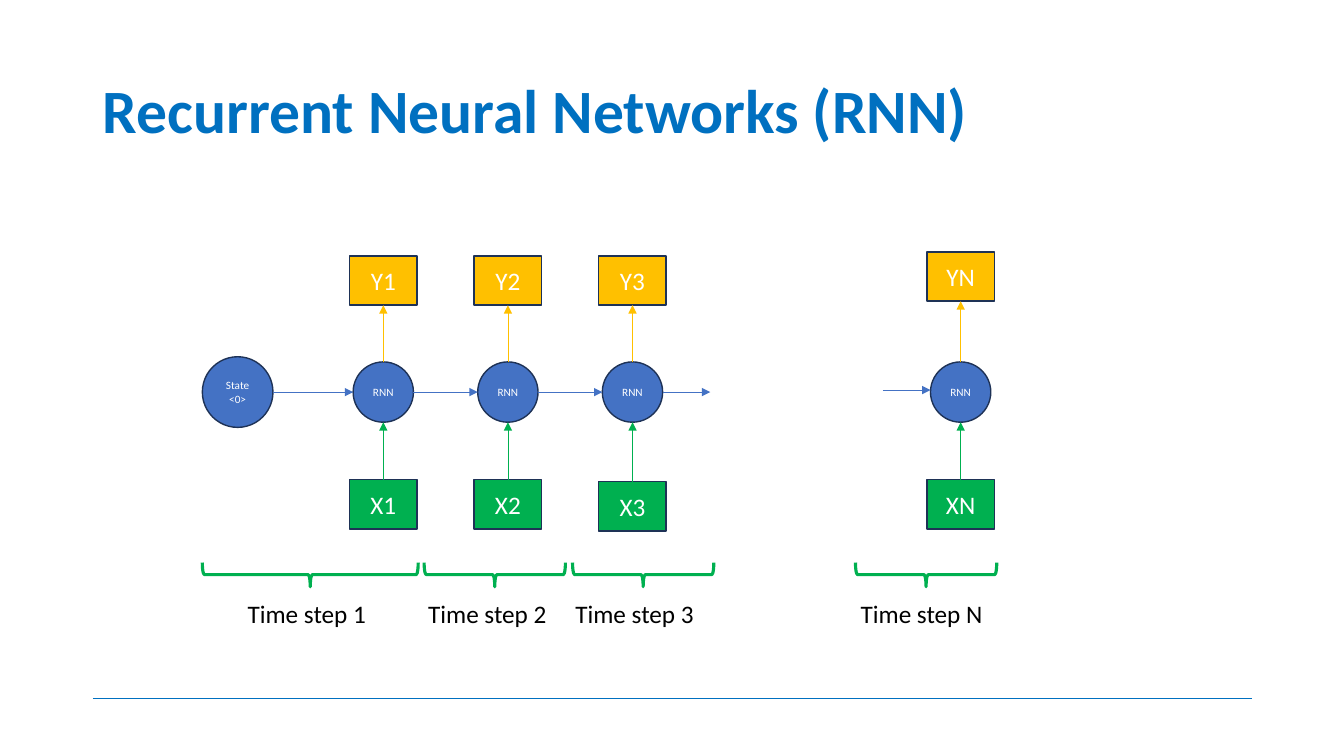
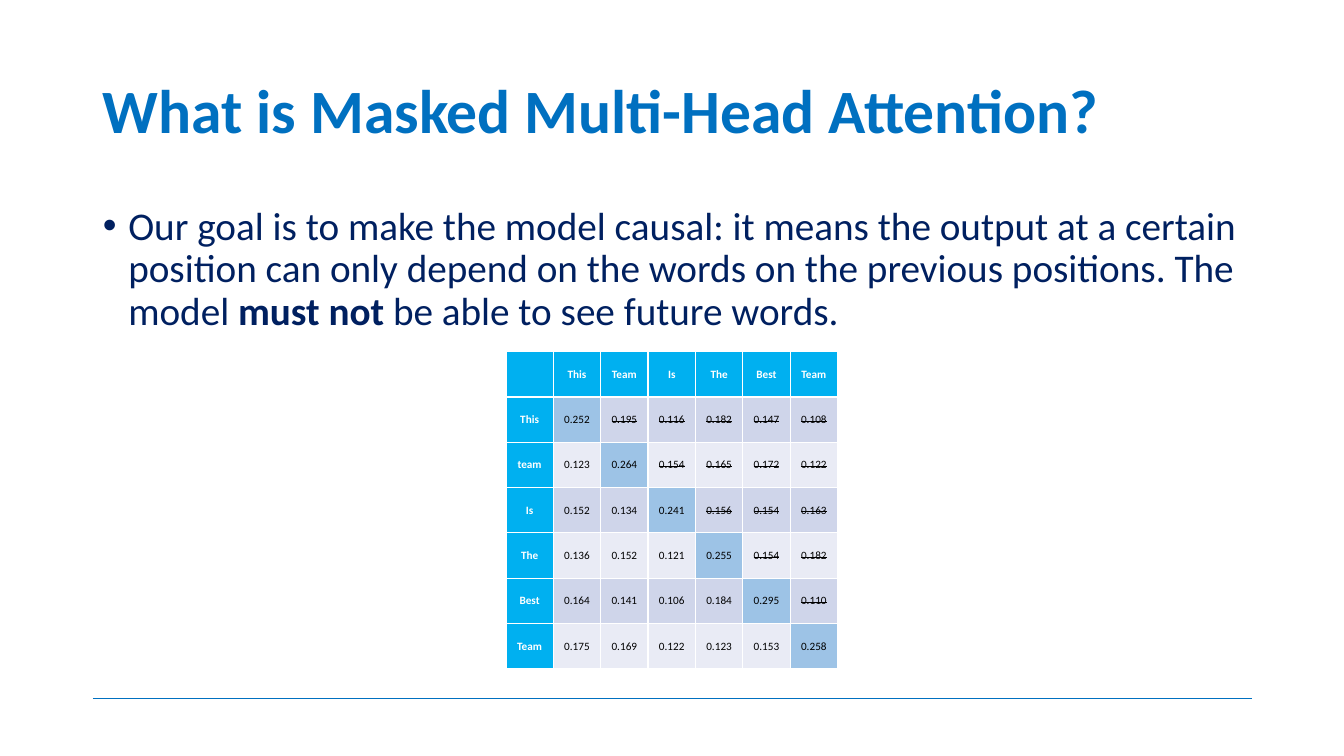
from collections import namedtuple

from lxml.etree import SubElement
from pptx import Presentation
from pptx.dml.color import RGBColor
from pptx.enum.shapes import MSO_CONNECTOR, MSO_SHAPE as Shape
from pptx.enum.text import MSO_ANCHOR as Anchor, MSO_AUTO_SIZE as AutoSize, PP_ALIGN as Align
from pptx.oxml.ns import qn
from pptx.util import Cm, Pt

# Shared style
FONT = "Calibri"
TITLE_BLUE = RGBColor(0x00, 0x70, 0xC0)
NAVY = RGBColor(0x00, 0x20, 0x60)
WHITE = RGBColor(0xFF, 0xFF, 0xFF)
BLACK = RGBColor(0x00, 0x00, 0x00)
CELL_BLUE = RGBColor(0x44, 0x72, 0xC4)
OUTLINE = RGBColor(0x1E, 0x32, 0x56)
GREEN = RGBColor(0x00, 0xB0, 0x50)
AMBER = RGBColor(0xFF, 0xC0, 0x00)
HEADER_BLUE = RGBColor(0x00, 0xB0, 0xF0)
DIAGONAL_BLUE = RGBColor(0x9D, 0xC3, 0xE6)
BANDS = (RGBColor(0xCF, 0xD5, 0xEA), RGBColor(0xE9, 0xEB, 0xF5))

MARGIN, CONTENT_WIDTH = 2.34, 29.21
TITLE_ONLY, TITLE_AND_BODY = 5, 1

# Network diagram, in centimetres
STATE_X, STATE_SIZE = 5.99, 1.78
RNN_Y, RNN_SIZE = 9.88, 1.52
BOX_WIDTH, BOX_HEIGHT = 1.7, 1.24
BRACE_Y, BRACE_DEPTH = 14.48, 0.61
LABEL_TOP = 14.94
LOOSE_ARROW = 1.2

Step = namedtuple("Step", "name x input_top output_top brace_x brace_length label_left")
STEPS = (
    Step("1", 9.66, 12.09, 6.45, 7.82, 5.44, 5.99),
    Step("2", 12.8, 12.09, 6.45, 12.47, 3.56, 10.54),
    Step("3", 15.94, 12.14, 6.45, 16.21, 3.56, 14.25),
    Step("N", 24.21, 12.09, 6.35, 23.34, 3.56, 21.44),
)

# Attention table
COLUMN_WORDS = ("This", "Team", "Is", "The", "Best", "Team")
ROW_WORDS = ("This", "team", "Is", "The", "Best", "Team")
WEIGHTS = (
    (0.252, 0.195, 0.116, 0.182, 0.147, 0.108),
    (0.123, 0.264, 0.154, 0.165, 0.172, 0.122),
    (0.152, 0.134, 0.241, 0.156, 0.154, 0.163),
    (0.136, 0.152, 0.121, 0.255, 0.154, 0.182),
    (0.164, 0.141, 0.106, 0.184, 0.295, 0.110),
    (0.175, 0.169, 0.122, 0.123, 0.153, 0.258),
)


def format_runs(para, size, color, bold=False):
    for span in para.runs:
        span.font.name = FONT
        span.font.size = Pt(size)
        span.font.color.rgb = color
        span.font.bold = bold


def place(shape, left, top, width, height):
    shape.left, shape.top = Cm(left), Cm(top)
    shape.width, shape.height = Cm(width), Cm(height)


def add_line(page, start, end, color, arrow=False):
    line = page.shapes.add_connector(
        MSO_CONNECTOR.STRAIGHT, *(Cm(value) for value in (*start, *end)))
    line.line.color.rgb = color
    line.line.width = Pt(0.5)
    if arrow:
        SubElement(line.line._get_or_add_ln(), qn("a:tailEnd"), type="triangle")
    SubElement(line._element.spPr, qn("a:effectLst"))
    return line


def add_page(deck, layout, title):
    """Add a slide with the common title and bottom rule."""
    page = deck.slides.add_slide(deck.slide_layouts[layout])
    add_line(page, (MARGIN, 17.6), (MARGIN + CONTENT_WIDTH, 17.6), TITLE_BLUE)
    heading = page.shapes.title
    place(heading, MARGIN, 1.02, CONTENT_WIDTH, 3.68)
    frame = heading.text_frame
    frame.text = title
    frame.auto_size = AutoSize.NONE
    frame.vertical_anchor = Anchor.MIDDLE
    para = frame.paragraphs[0]
    para.alignment = Align.LEFT
    para.line_spacing = 0.9
    format_runs(para, 44, TITLE_BLUE, bold=True)
    return page


def add_node(page, kind, text, center, size, fill, font_size):
    """Add an outlined, filled shape around its centre."""
    (x, y), (width, height) = center, size
    node = page.shapes.add_shape(
        kind, Cm(x - width / 2), Cm(y - height / 2), Cm(width), Cm(height))
    node.shadow.inherit = False
    node.fill.solid()
    node.fill.fore_color.rgb = fill
    node.line.color.rgb = OUTLINE
    node.line.width = Pt(1)
    node.text_frame.text = text
    node.text_frame.vertical_anchor = Anchor.MIDDLE
    para = node.text_frame.paragraphs[0]
    para.alignment = Align.CENTER
    format_runs(para, font_size, WHITE)
    return node


def add_circle(page, text, x, size):
    return add_node(page, Shape.OVAL, text, (x, RNN_Y), (size, size), CELL_BLUE, 8)


def add_box(page, text, x, top, fill):
    return add_node(page, Shape.RECTANGLE, text, (x, top + BOX_HEIGHT / 2),
                    (BOX_WIDTH, BOX_HEIGHT), fill, 18)


def add_brace(page, x, length):
    brace = page.shapes.add_shape(
        Shape.LEFT_BRACE, Cm(x - BRACE_DEPTH / 2), Cm(BRACE_Y - length / 2),
        Cm(BRACE_DEPTH), Cm(length))
    brace.rotation = 270
    brace.shadow.inherit = False
    brace.fill.background()
    brace.line.color.rgb = GREEN
    brace.line.width = Pt(2.25)


def add_label(page, text, left):
    box = page.shapes.add_textbox(Cm(left), Cm(LABEL_TOP), Cm(3.8), Cm(1.02))
    box.text_frame.word_wrap = True
    box.text_frame.text = text
    format_runs(box.text_frame.paragraphs[0], 18, BLACK)


def add_step(page, step):
    """Add one time step: input, cell, output, brace and label."""
    cell = add_circle(page, "RNN", step.x, RNN_SIZE)
    source = add_box(page, f"X{step.name}", step.x, step.input_top, GREEN)
    target = add_box(page, f"Y{step.name}", step.x, step.output_top, AMBER)
    radius = RNN_SIZE / 2
    feed = add_line(page, (step.x, step.input_top), (step.x, RNN_Y + radius), GREEN, arrow=True)
    feed.begin_connect(source, 0)
    result = add_line(page, (step.x, RNN_Y - radius),
                      (step.x, step.output_top + BOX_HEIGHT), AMBER, arrow=True)
    result.begin_connect(cell, 0)
    result.end_connect(target, 2)
    add_brace(page, step.brace_x, step.brace_length)
    add_label(page, f"Time step {step.name}", step.label_left)


def add_state_arrows(page):
    """Carry the state from left to right, with a break before the last step."""
    radius = RNN_SIZE / 2
    *first_steps, last = STEPS
    start = STATE_X + STATE_SIZE / 2
    for step in first_steps:
        add_line(page, (start, RNN_Y), (step.x - radius, RNN_Y), CELL_BLUE, arrow=True)
        start = step.x + radius
    add_line(page, (start, RNN_Y), (start + LOOSE_ARROW, RNN_Y), CELL_BLUE, arrow=True)
    end, y = last.x - radius, RNN_Y - 0.05
    add_line(page, (end - LOOSE_ARROW, y), (end, y), CELL_BLUE, arrow=True)


def add_bullet(page, parts):
    """Fill the body with one bullet made of (text, bold) parts."""
    body = page.placeholders[1]
    place(body, MARGIN, 5.08, CONTENT_WIDTH, 12.09)
    body.text_frame.auto_size = AutoSize.NONE
    para = body.text_frame.paragraphs[0]
    para.line_spacing = 0.9
    para.space_before = Pt(10)
    for text, _ in parts:
        para.add_run().text = text
    format_runs(para, 28, NAVY)
    for span, (_, bold) in zip(para.runs, parts):
        span.font.bold = bold
    properties = para._p.get_or_add_pPr()
    properties.set("marL", str(Cm(0.64)))
    properties.set("indent", str(-Cm(0.64)))
    SubElement(properties, qn("a:buFont"), typeface="Arial")
    SubElement(properties, qn("a:buChar"), char="•")


def fill_cell(cell, text, fill, color, bold=False, strike=False):
    cell.fill.solid()
    cell.fill.fore_color.rgb = fill
    cell.vertical_anchor = Anchor.MIDDLE
    cell.margin_left = cell.margin_right = 0
    cell.text = text
    para = cell.text_frame.paragraphs[0]
    para.alignment = Align.CENTER
    format_runs(para, 8, color, bold)
    if strike:
        para.runs[0]._r.get_or_add_rPr().set("strike", "sngStrike")


def add_attention_table(page):
    """Add the weights, with those of future words struck out."""
    count = len(WEIGHTS) + 1
    table = page.shapes.add_table(
        count, count, Cm(12.75), Cm(8.86), Cm(8.36), Cm(8)).table
    table.first_col = True
    for column, word in enumerate(("", *COLUMN_WORDS)):
        fill_cell(table.cell(0, column), word, HEADER_BLUE, WHITE, bold=True)
    for row, (word, weights) in enumerate(zip(ROW_WORDS, WEIGHTS), start=1):
        fill_cell(table.cell(row, 0), word, HEADER_BLUE, WHITE, bold=True)
        for column, weight in enumerate(weights, start=1):
            fill = DIAGONAL_BLUE if row == column else BANDS[(row - 1) % 2]
            fill_cell(table.cell(row, column), f"{weight:.3f}", fill, BLACK,
                      strike=column > row)


def build_network_slide(deck):
    page = add_page(deck, TITLE_ONLY, "Recurrent Neural Networks (RNN)")
    add_circle(page, "State <0>", STATE_X, STATE_SIZE)
    for step in STEPS:
        add_step(page, step)
    add_state_arrows(page)


def build_attention_slide(deck):
    page = add_page(deck, TITLE_AND_BODY, "What is Masked Multi-Head Attention?")
    add_bullet(page, (
        ("Our goal is to make the model causal: it means the output at a certain position "
         "can only depend on the words on the previous positions. The model ", False),
        ("must not ", True),
        ("be able to see future words.", False),
    ))
    add_attention_table(page)


def main():
    deck = Presentation()
    deck.slide_width, deck.slide_height = Cm(33.87), Cm(19.05)
    build_network_slide(deck)
    build_attention_slide(deck)
    deck.save("out.pptx")


if __name__ == "__main__":
    main()
